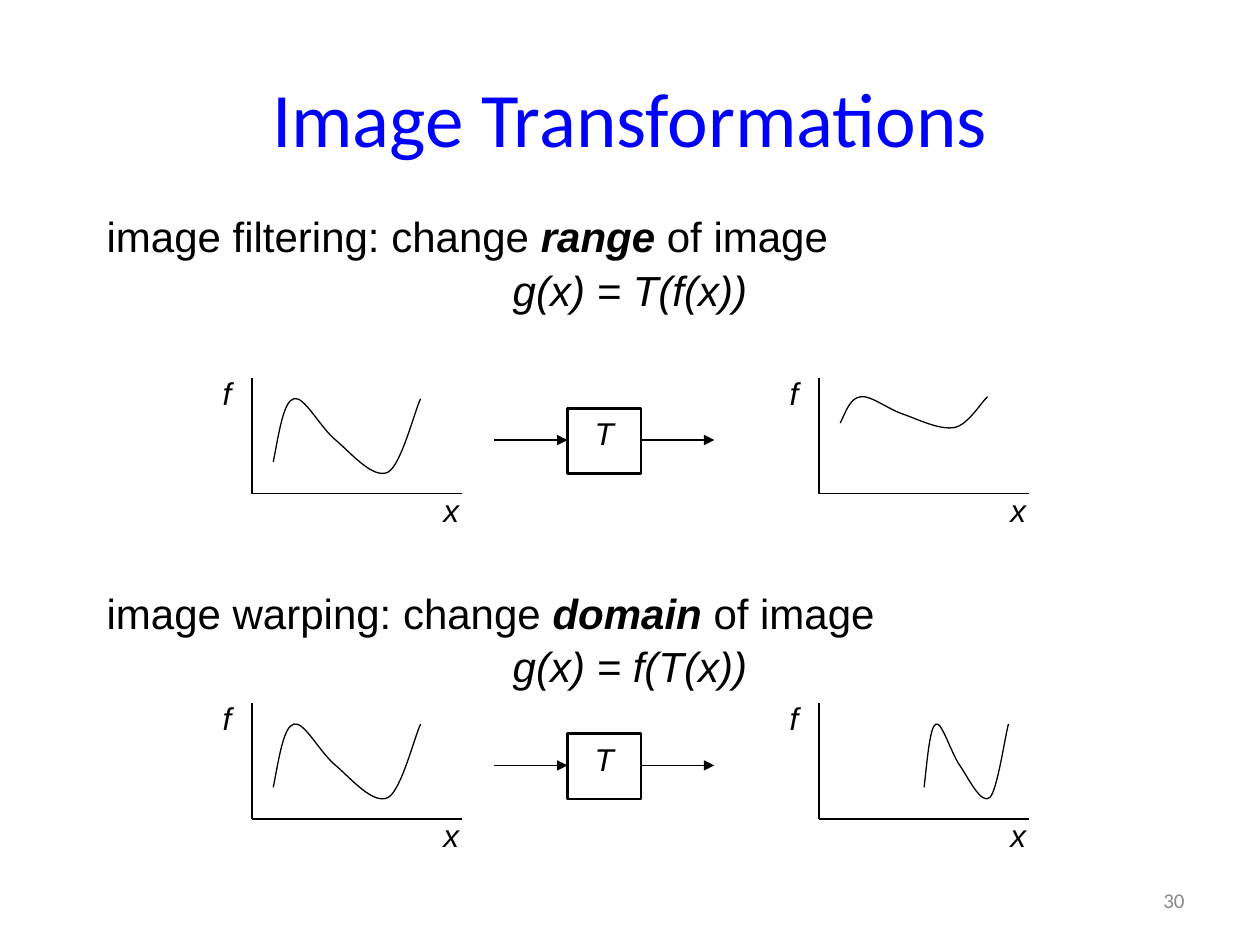
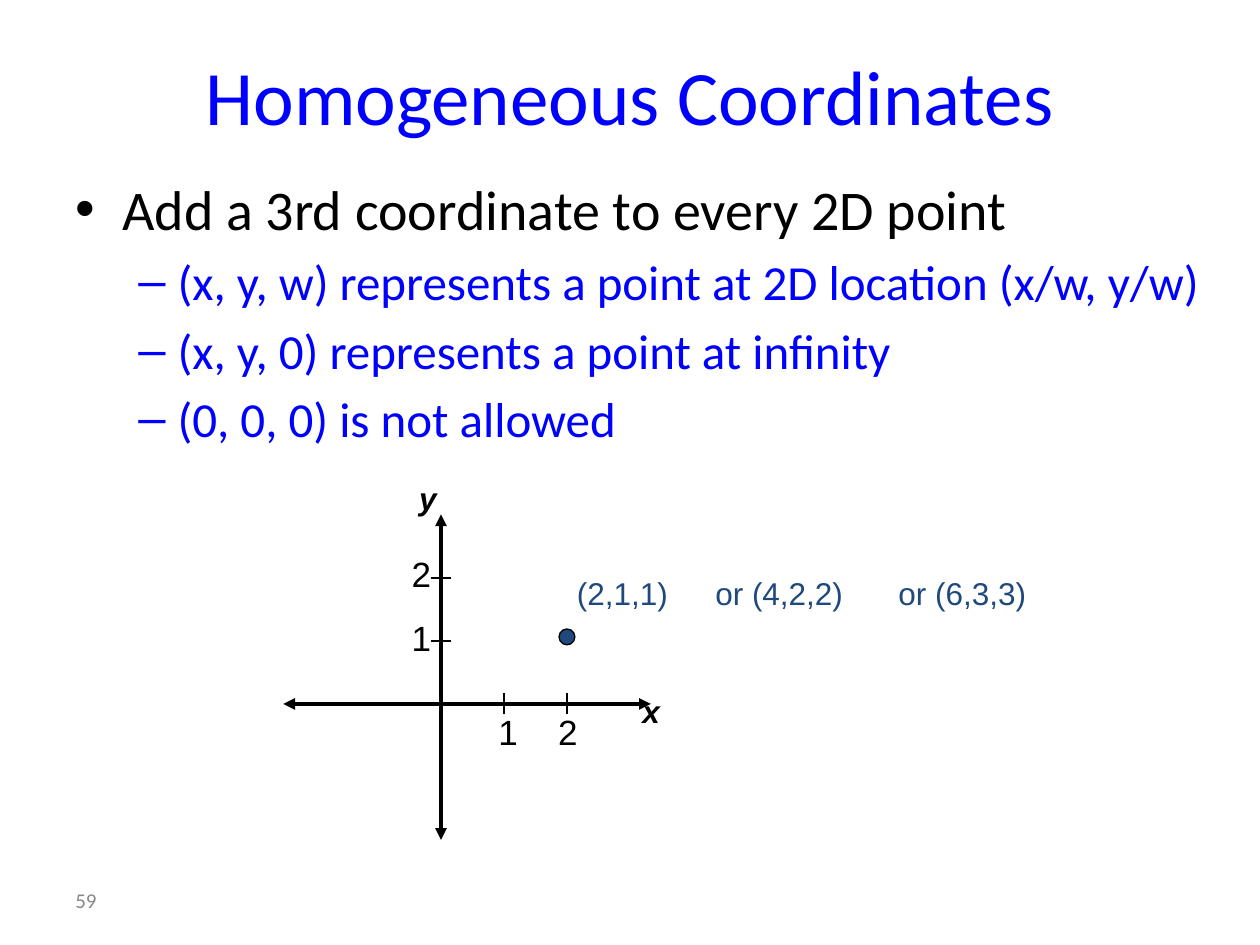
from lxml import etree
from pptx import Presentation
from pptx import util as u
from pptx.dml.color import RGBColor
from pptx.enum import shapes, text
from pptx.oxml.ns import qn

BLACK = RGBColor(0x00, 0x00, 0x00)
BLUE = RGBColor(0x00, 0x00, 0xFF)
NAVY = RGBColor(0x1F, 0x49, 0x7D)
GRAY = RGBColor(0x89, 0x89, 0x89)
SANS, THEME_FONT = "Arial", "Calibri"
LEFT, CENTER, RIGHT = text.PP_ALIGN.LEFT, text.PP_ALIGN.CENTER, text.PP_ALIGN.RIGHT
TOP, MIDDLE = text.MSO_ANCHOR.TOP, text.MSO_ANCHOR.MIDDLE
HANGING = 0.95

# The signal as a chain of Bezier points, in fractions of its box
SIGNAL = [(0, 0.79),
          (0.04, 0.43), (0.07, 0.07), (0.14, 0.04),
          (0.21, 0), (0.32, 0.39), (0.43, 0.54),
          (0.53, 0.69), (0.68, 1), (0.78, 0.91),
          (0.87, 0.82), (0.96, 0.18), (1, 0.04)]
# Signal boxes inside a graph: left, top, width, height
SIGNAL_BOX = (1.27, 0.56, 2.97, 1.7)
FLATTENED_BOX = (1.27, 0.56, 2.97, 0.71)
SQUEEZED_BOX = (2.96, 0.56, 1.7, 1.7)


def cm(*lengths):
    return [u.Cm(length) for length in lengths]


# Text
def write(frame, content, *, size=18, color=BLACK, font=SANS, bold=False, italic=False,
          align=LEFT, before=0, spacing=1.0, margin=0, hanging=0, bullet=None):
    """Add a paragraph; parts between asterisks are bold italic."""
    paragraph = frame.paragraphs[0]
    if paragraph.runs:
        paragraph = frame.add_paragraph()
    properties = paragraph._p.get_or_add_pPr()
    properties.set("marL", str(u.Cm(margin)))
    properties.set("indent", str(u.Cm(-hanging)))
    if bullet:
        etree.SubElement(properties, qn("a:buFont"), typeface=SANS)
        etree.SubElement(properties, qn("a:buChar"), char=bullet)
    paragraph.alignment = align
    paragraph.line_spacing = spacing
    paragraph.space_before = u.Pt(before)
    for index, part in enumerate(content.split("*")):
        emphasis = index % 2 == 1
        run = paragraph.add_run()
        run.text = part
        run.font.name, run.font.size = font, u.Pt(size)
        run.font.color.rgb = color
        run.font.bold = bold or emphasis
        run.font.italic = italic or emphasis


def add_frame(slide, box, anchor=TOP, wrap=True):
    frame = slide.shapes.add_textbox(*cm(*box)).text_frame
    frame.word_wrap = wrap
    frame.vertical_anchor = anchor
    return frame


def add_label(slide, box, content, **style):
    write(add_frame(slide, box, wrap=False), content, **style)


def add_title(slide, box, content):
    write(add_frame(slide, box, MIDDLE), content,
          size=44, color=BLUE, font=THEME_FONT, align=CENTER)


def add_slide_number(slide, left, number, align):
    write(add_frame(slide, (left, 17.65, 5.93, 1.01), MIDDLE), number,
          size=12, color=GRAY, font=THEME_FONT, align=align)


# Drawing
def style_outline(shape, width=0.75):
    shape.line.color.rgb = BLACK
    shape.line.width = u.Pt(width)


def add_line(slide, start, end, width=0.75, arrows=()):
    """Draw a line; arrows names the ends that carry a triangle."""
    line = slide.shapes.add_connector(shapes.MSO_CONNECTOR.STRAIGHT, *cm(*start, *end))
    style_outline(line, width)
    properties = line._element.spPr
    for arrow in arrows:
        etree.SubElement(properties.find(qn("a:ln")), qn("a:" + arrow), type="triangle")
    etree.SubElement(properties, qn("a:effectLst"))


def add_preset(slide, kind, box, fill=None, width=0.75):
    shape = slide.shapes.add_shape(kind, *cm(*box))
    shape.shadow.inherit = False
    if fill is None:
        shape.fill.background()
    else:
        shape.fill.solid()
        shape.fill.fore_color.rgb = fill
    style_outline(shape, width)
    return shape


def add_signal(slide, left, top, width, height):
    points = [cm(left + x * width, top + y * height) for x, y in SIGNAL]
    builder = slide.shapes.build_freeform(*points[0])
    builder.add_line_segments(points[1:], close=False)
    curve = builder.convert_to_shape()
    curve.shadow.inherit = False
    curve.fill.background()
    style_outline(curve)
    # Turn every three straight segments into one Bezier segment
    segments = list(curve._element.iter(qn("a:lnTo")))
    outline = segments[0].getparent()
    for first in range(0, len(segments), 3):
        bezier = etree.SubElement(outline, qn("a:cubicBezTo"))
        for segment in segments[first:first + 3]:
            bezier.append(segment[0])
            outline.remove(segment)


# Image transformations
def add_graph(slide, left, top, signal_box):
    corner = (left + 0.84, top + 2.54)
    add_line(slide, (left + 0.84, top + 0.2), corner)
    add_line(slide, corner, (left + 5.08, top + 2.54))
    x, y, width, height = signal_box
    add_signal(slide, left + x, top + y, width, height)
    for name, dx, dy in (("f", 0, 0), ("x", 4.45, 2.36)):
        write(add_frame(slide, (left + dx, top + dy, 1.06, 1.02)), name, italic=True)


def add_operator(slide, left, top):
    side, height, arrow_y = 1.48, 1.32, top + 0.64
    box = add_preset(slide, shapes.MSO_SHAPE.RECTANGLE,
                     (left + side, top, side, height), width=1.5)
    box.text_frame.vertical_anchor = TOP
    write(box.text_frame, "T", italic=True, align=CENTER)
    for start in (left, left + 2 * side):
        add_line(slide, (start, arrow_y), (start + side, arrow_y), arrows=["tailEnd"])


def add_transformation(slide, top, result_box):
    add_graph(slide, 4.24, top, SIGNAL_BOX)
    add_operator(slide, 9.96, top + 0.82)
    add_graph(slide, 15.67, top, result_box)


def add_statement(slide, top, sentence, formula, spacing):
    frame = add_frame(slide, (1.9, top, 21.6, 2.74))
    shared = dict(size=24, margin=HANGING, hanging=HANGING)
    write(frame, sentence, spacing=spacing, **shared)
    write(frame, formula, italic=True, align=CENTER, spacing=0.9, before=4.8, **shared)


def build_transformations(slide):
    add_title(slide, (1.27, 0.76, 22.86, 3.18), "Image Transformations")
    add_statement(slide, 4.23, "image filtering: change *range* of image",
                  "g(x) = T(f(x))", 0.9)
    add_transformation(slide, 7.41, FLATTENED_BOX)
    add_statement(slide, 11, "image warping: change *domain* of image",
                  "g(x) = f(T(x))", 1.7)
    add_transformation(slide, 13.97, SQUEEZED_BOX)
    add_slide_number(slide, 18.2, "30", RIGHT)


# Homogeneous coordinates
def add_coordinate_plane(slide, left, top):
    """Place the plane; left and top are the ends of its two axes."""
    unit, tick = 1.27, 0.21
    origin_x, origin_y = left + 3.18, top + 3.82
    both = ("headEnd", "tailEnd")
    add_line(slide, (origin_x, top), (origin_x, top + 6.56), 2.25, both)
    add_line(slide, (left, origin_y), (left + 7.41, origin_y), 2.25, both)

    # Ticks and their numbers
    for value, number_x, number_y in ((1, 0.91, -1.88), (2, 2.11, -3.18)):
        x, y = origin_x + value * unit, origin_y - value * unit
        add_line(slide, (x, origin_y - tick), (x, origin_y + tick))
        add_line(slide, (origin_x - tick, y), (origin_x + tick, y))
        for number_left, number_top in ((origin_x + number_x, origin_y),
                                        (origin_x - 0.84, origin_y + number_y)):
            add_label(slide, (number_left, number_top, 0.91, 1.09), str(value), size=20)

    # The point and its equivalent coordinates
    dot = 0.32
    add_preset(slide, shapes.MSO_SHAPE.OVAL,
               (origin_x + 2 * unit - dot / 2, origin_y - 1.51, dot, dot), NAVY)
    for content, x, width in (("(2,1,1)", 2.49, 2.95), ("or (4,2,2)", 5.28, 3.94),
                              ("or (6,3,3)", 8.97, 3.94)):
        add_label(slide, (origin_x + x, origin_y - 2.75, width, 1.27), content, color=NAVY)

    # Axis names
    for name, x, y in (("x", 3.81, -0.36), ("y", -0.69, -4.66)):
        add_label(slide, (origin_x + x, origin_y + y, 0.99, 1.27), name,
                  bold=True, italic=True)


def build_coordinates(slide):
    add_title(slide, (1.27, 0.64, 22.86, 2.54), "Homogeneous Coordinates")
    frame = add_frame(slide, (1.27, 3.39, 23.85, 8.46))
    write(frame, "Add a 3rd coordinate to every 2D point", size=32, font=THEME_FONT,
          margin=HANGING, hanging=HANGING, bullet="•")
    for content in ("(x, y, w) represents a point at 2D location (x/w, y/w)",
                    "(x, y, 0) represents a point at infinity",
                    "(0, 0, 0) is not allowed"):
        write(frame, content, size=28, font=THEME_FONT, color=BLUE, before=5.6,
              margin=2.06, hanging=0.79, bullet="–")
    add_coordinate_plane(slide, 5.71, 10.37)
    add_slide_number(slide, 1.27, "59", LEFT)


def main():
    presentation = Presentation()
    presentation.slide_width, presentation.slide_height = cm(25.4, 19.05)
    for build in (build_transformations, build_coordinates):
        build(presentation.slides.add_slide(presentation.slide_layouts[6]))
    presentation.save("out.pptx")


if __name__ == "__main__":
    main()
